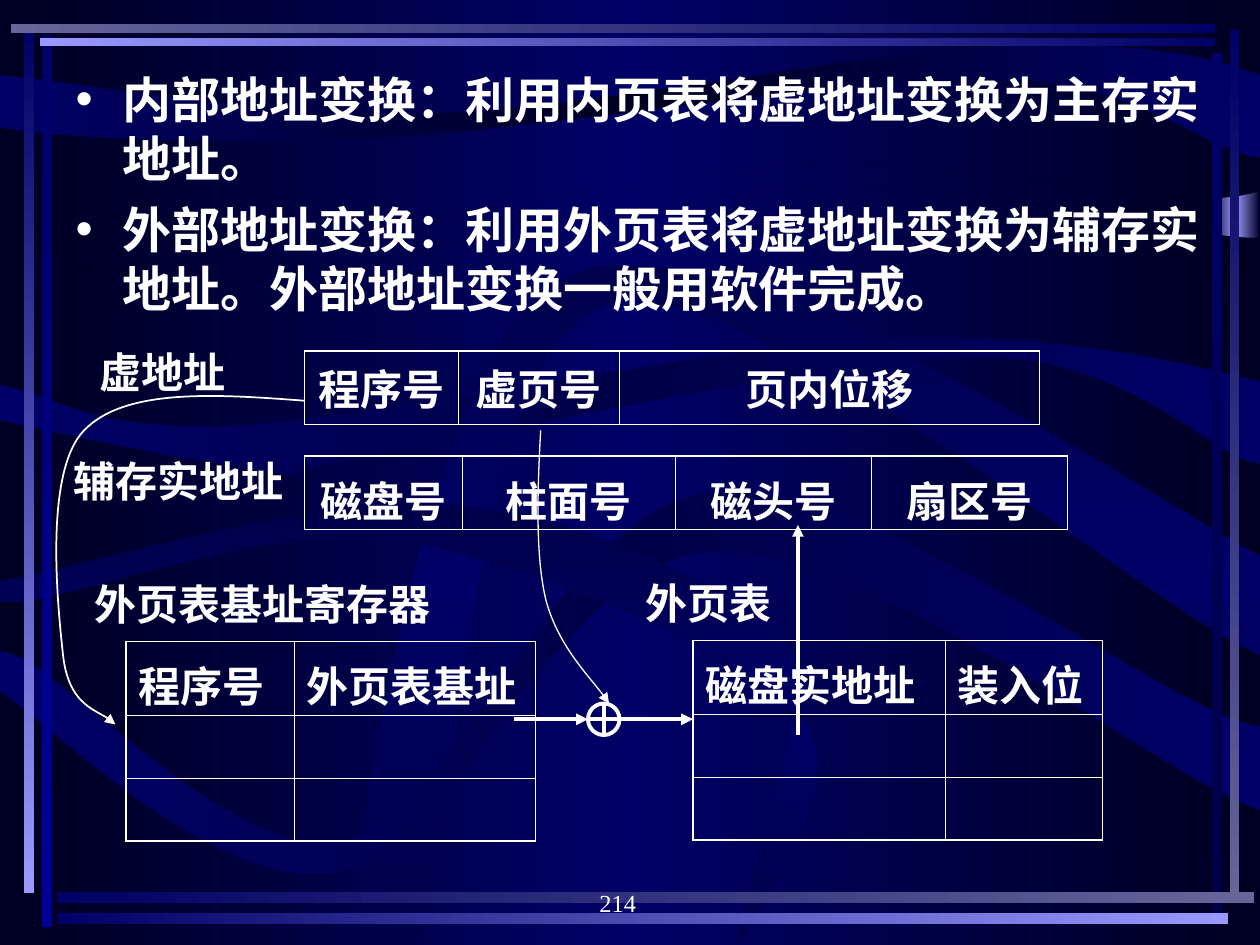
from typing import NamedTuple

from lxml.etree import SubElement
from pptx import Presentation
from pptx.dml.color import RGBColor
from pptx.enum.shapes import MSO_CONNECTOR, MSO_SHAPE
from pptx.enum.text import MSO_ANCHOR, MSO_AUTO_SIZE, PP_ALIGN
from pptx.oxml.ns import qn
from pptx.util import Pt

WHITE, NIGHT, DEEP, NAVY = "FFFFFF", "000022", "000048", "000066"
LILAC, SLATE = "9999FF", "666699"
HORIZONTAL, VERTICAL = 0, 90
OUTER, INNER = 1.08, 0.45


class Box(NamedTuple):
    left: float
    top: float
    width: float
    height: float


class Bar(NamedTuple):
    box: Box
    colors: list[str]
    angle: int


class Wave(NamedTuple):
    colors: list[str]
    angle: int
    start: tuple
    segments: list[tuple]  # 2 numbers: line, 6 numbers: cubic curve


class Label(NamedTuple):
    text: str
    box: Box
    size: float = 24
    bold: bool = True
    anchor: MSO_ANCHOR = MSO_ANCHOR.MIDDLE


class Grid(NamedTuple):
    left: float
    top: float
    widths: list[float]
    row_height: float
    rows: int
    headings: list[str]
    align: PP_ALIGN
    top_margin: float


class Arrow(NamedTuple):
    start: tuple
    end: tuple


def rgb(color: str) -> RGBColor:
    return RGBColor.from_string(color)


def paint_gradient(fill, root, colors: list[str], angle: int) -> None:
    """Spread the colours evenly; the angle runs clockwise."""
    fill.gradient()
    fill.gradient_angle = (360 - angle) % 360
    stops = root.find(".//" + qn("a:gsLst"))
    for stop in list(stops):
        stops.remove(stop)
    for i, color in enumerate(colors):
        stop = SubElement(stops, qn("a:gs"), pos=str(100000 * i // (len(colors) - 1)))
        SubElement(stop, qn("a:srgbClr"), val=color)


def style_runs(paragraph, size: float, bold: bool) -> None:
    for run in paragraph.runs:
        run.font.name, run.font.size, run.font.bold = "Times New Roman", Pt(size), bold
        run.font.color.rgb = rgb(WHITE)


def style_line(shape, width: float, arrow: bool) -> None:
    shape.line.color.rgb = rgb(WHITE)
    shape.line.width = Pt(width)
    if arrow:
        SubElement(shape.element.find(".//" + qn("a:ln")), qn("a:tailEnd"), type="triangle")


def draw_bar(shapes, bar: Bar) -> None:
    shape = shapes.add_shape(MSO_SHAPE.RECTANGLE, *map(Pt, bar.box))
    shape.shadow.inherit = False
    shape.line.fill.background()
    paint_gradient(shape.fill, shape.element, bar.colors, bar.angle)


def draw_outline(shapes, start: tuple, segments: list[tuple], close: bool):
    points = [s[i:i + 2] for s in segments for i in range(0, len(s), 2)]
    builder = shapes.build_freeform(*start, scale=Pt(1))
    builder.add_line_segments(points, close=close)
    shape = builder.convert_to_shape()
    shape.shadow.inherit = False
    # Each run of three points from a cubic segment becomes one curve
    outline = shape.element.find(".//" + qn("a:path"))
    steps = iter(outline.findall(qn("a:lnTo")))
    for segment in segments:
        parts = [next(steps) for _ in range(len(segment) // 2)]
        if len(parts) == 3:
            curve = outline.makeelement(qn("a:cubicBezTo"))
            parts[0].addprevious(curve)
            for part in parts:
                curve.append(part[0])
                outline.remove(part)
    return shape


def draw_wave(shapes, wave: Wave) -> None:
    shape = draw_outline(shapes, wave.start, wave.segments, True)
    shape.line.fill.background()
    paint_gradient(shape.fill, shape.element, wave.colors, wave.angle)


def draw_curve(shapes, start: tuple, segments: list[tuple], width: float) -> None:
    shape = draw_outline(shapes, start, segments, False)
    shape.fill.background()
    style_line(shape, width, True)


def draw_label(shapes, label: Label) -> None:
    frame = shapes.add_textbox(*map(Pt, label.box)).text_frame
    frame.word_wrap = True
    frame.vertical_anchor = label.anchor
    frame.margin_left = frame.margin_right = 0
    frame.margin_top = frame.margin_bottom = Pt(3.6 if label.anchor == MSO_ANCHOR.BOTTOM else 0)
    frame.text = label.text
    frame.paragraphs[0].alignment = PP_ALIGN.CENTER
    style_runs(frame.paragraphs[0], label.size, label.bold)


def draw_border(cell, side: str, width: float) -> None:
    line = SubElement(cell._tc.get_or_add_tcPr(), qn("a:ln" + side), w=str(Pt(width)))
    SubElement(SubElement(line, qn("a:solidFill")), qn("a:srgbClr"), val=WHITE)


def draw_grid(shapes, grid: Grid) -> None:
    columns = len(grid.widths)
    table = shapes.add_table(grid.rows, columns, Pt(grid.left), Pt(grid.top),
                             Pt(sum(grid.widths)), Pt(grid.row_height * grid.rows)).table
    table.first_row = table.horz_banding = False
    for column, width in zip(table.columns, grid.widths):
        column.width = Pt(width)
    for i in range(grid.rows):
        for j in range(columns):
            cell = table.cell(i, j)
            edges = {"L": j == 0, "R": j == columns - 1, "T": i == 0, "B": i == grid.rows - 1}
            for side, outside in edges.items():
                draw_border(cell, side, OUTER if outside else INNER)
            cell.fill.background()
            cell.margin_top, cell.margin_bottom = Pt(grid.top_margin), Pt(7.2 - grid.top_margin)
            cell.vertical_anchor = MSO_ANCHOR.MIDDLE
            if i == 0:
                cell.text_frame.text = grid.headings[j]
                cell.text_frame.paragraphs[0].alignment = grid.align
                style_runs(cell.text_frame.paragraphs[0], 24, True)


def draw_arrow(shapes, arrow: Arrow) -> None:
    line = shapes.add_connector(MSO_CONNECTOR.STRAIGHT, *map(Pt, arrow.start + arrow.end))
    style_line(line, 2.25, True)
    SubElement(line.element.find(qn("p:spPr")), qn("a:effectLst"))


def fill_body(body, points: list[str]) -> None:
    body.left, body.top, body.width, body.height = map(Pt, (36, 36, 660, 444))
    frame = body.text_frame
    frame.auto_size = MSO_AUTO_SIZE.NONE
    frame.text = "\n".join(points)
    for i, paragraph in enumerate(frame.paragraphs):
        props = paragraph._p.get_or_add_pPr()
        props.set("marL", str(Pt(27)))
        props.set("indent", str(Pt(-27)))
        SubElement(SubElement(props, qn("a:buClr")), qn("a:srgbClr"), val=WHITE)
        SubElement(props, qn("a:buChar"), char="•")
        paragraph.space_before = Pt(7 if i else 0)
        style_runs(paragraph, 28, True)


GLOW = Bar(Box(692, 35, 28, 248), [NIGHT, LILAC, NIGHT], HORIZONTAL)
WAVES = [
    Wave([NIGHT, NAVY, NIGHT], HORIZONTAL, (0, 0), [
        (720, 0), (720, 109), (675, 125, 570, 88, 450, 95), (330, 102, 75, 168, 0, 152)]),
    Wave([NIGHT, NAVY, NIGHT], HORIZONTAL, (0, 164), [
        (128, 176, 245, 140, 330, 125), (330, 125, 408, 114, 422, 112),
        (515, 91, 660, 136, 720, 136), (720, 540), (0, 540)]),
    Wave([NAVY, NIGHT, NAVY], HORIZONTAL, (0, 43), [
        (0, 73), (37, 79, 127, 83, 222, 78), (317, 73, 489, 43, 572, 45),
        (654, 47, 696, 90, 720, 90), (720, 43), (695, 33, 649, 23, 570, 27),
        (491, 30, 343, 62, 248, 65), (153, 68, 52, 48, 0, 43)]),
    Wave([NAVY, DEEP, NAVY], HORIZONTAL, (0, 220), [
        (0, 240), (27, 247, 126, 266, 160, 270), (194, 274, 137, 273, 203, 262),
        (270, 251, 475, 203, 562, 204), (648, 204, 693, 263, 720, 265), (720, 218),
        (684, 209, 602, 189, 505, 194), (408, 197, 221, 239, 137, 243), (53, 248, 29, 225, 0, 220)]),
    Wave([DEEP, NAVY, DEEP], VERTICAL, (195, 540), [
        (210, 476, 239, 194, 327, 157), (414, 120, 654, 282, 720, 318), (720, 374),
        (657, 349, 426, 148, 345, 175), (265, 203, 264, 480, 238, 540)]),
    Wave([NAVY, DEEP, NAVY], HORIZONTAL, (0, 372), [
        (0, 395), (32, 416, 125, 512, 194, 498), (261, 485, 319, 321, 407, 315),
        (495, 309, 667, 446, 720, 463), (720, 415), (675, 412, 498, 271, 405, 282),
        (318, 292, 264, 465, 197, 480), (129, 495, 32, 374, 0, 372)]),
    Wave([DEEP, NAVY, DEEP], VERTICAL, (0, 332), [
        (0, 343), (19, 352, 150, 297, 226, 308), (302, 320, 426, 373, 459, 412),
        (491, 450, 419, 545, 420, 540), (462, 383), (436, 341, 341, 297, 264, 289),
        (186, 280, 55, 323, 0, 332)]),
]
FRAME_BARS = [
    Bar(Box(23.8, 20.2, 5.8, 509.8), [NAVY, "000099"], VERTICAL),
    Bar(Box(13.7, 18, 6, 492.5), [NAVY, LILAC], VERTICAL),
    Bar(Box(702.7, 17.3, 5.2, 499), [NAVY, SLATE], VERTICAL),
    Bar(Box(692.6, 30.2, 6, 491.8), [NAVY, DEEP], VERTICAL),
    Bar(Box(32.4, 509.8, 684, 6), [NAVY, SLATE], HORIZONTAL),
    Bar(Box(32.4, 521.8, 669.6, 6), [NAVY, LILAC], HORIZONTAL),
    Bar(Box(23, 21.7, 671.5, 4.5), [LILAC, NAVY], HORIZONTAL),
    Bar(Box(6, 13.8, 688.5, 5), [SLATE, NAVY], HORIZONTAL),
]
GRIDS = [
    Grid(174, 200.5, [88, 92, 240], 42, 1, ["程序号", "虚页号", "页内位移"], PP_ALIGN.CENTER, 3.6),
    Grid(174, 260.5, [90, 122, 112, 112], 36, 1, ["磁盘号", "柱面号", "磁头号", "扇区号"],
         PP_ALIGN.CENTER, 7.2),
    Grid(72, 366.5, [96, 138], 36, 3, ["程序号", "外页表基址"], PP_ALIGN.LEFT, 7.2),
    Grid(396, 366, [144, 90], 36, 3, ["磁盘实地址", "装入位"], PP_ALIGN.LEFT, 7.2),
]
LABELS = [
    Label("虚地址", Box(54, 198, 78, 28.8)),
    Label("辅存实地址", Box(36, 260.5, 132, 28.8)),
    Label("外页表基址寄存器", Box(42, 330.5, 216, 28.8)),
    Label("外页表", Box(366, 330, 78, 28.8)),
    Label("214", Box(278, 492, 150, 36), 14, False, MSO_ANCHOR.BOTTOM),
]
ARROWS = [Arrow((294, 411), (336, 411)), Arrow((456, 420), (456, 300)), Arrow((354, 411), (396, 411))]

presentation = Presentation()
presentation.slide_width, presentation.slide_height = Pt(720), Pt(540)
slide = presentation.slides.add_slide(presentation.slide_layouts[1])
shapes = slide.shapes
shapes.element.remove(shapes.title.element)

# Backdrop
paint_gradient(slide.background.fill, slide.element, [NIGHT, NAVY, NIGHT], HORIZONTAL)
draw_bar(shapes, GLOW)
for wave in WAVES:
    draw_wave(shapes, wave)
for bar in FRAME_BARS:
    draw_bar(shapes, bar)

# Bullets, kept in front of the backdrop
body = slide.placeholders[1]
shapes.element.append(body.element)
fill_body(body, ["内部地址变换：利用内页表将虚地址变换为主存实地址。",
                 "外部地址变换：利用外页表将虚地址变换为辅存实地址。外部地址变换一般用软件完成。"])

# Address formats, register and page table
for grid in GRIDS:
    draw_grid(shapes, grid)
for label in LABELS:
    draw_label(shapes, label)

# Flow from the virtual address through the adder
draw_curve(shapes, (174, 229), [(122.4, 225.4, 71.3, 221.8, 48.2, 246.2),
                                (25.2, 270, 33.1, 345.6, 36, 373.7),
                                (38.9, 401.8, 61.2, 407.5, 66.2, 414)], 1)
draw_curve(shapes, (308.9, 246.2), [(307.4, 281.5, 306, 317.5, 312.5, 343.4),
                                    (319, 369.4, 342, 392.4, 347.8, 401.8)], 0.75)
for arrow in ARROWS:
    draw_arrow(shapes, arrow)
adder = shapes.add_shape(MSO_SHAPE.FLOWCHART_OR, Pt(336), Pt(402), Pt(18), Pt(18))
adder.shadow.inherit = False
adder.fill.background()
style_line(adder, 2.25, False)

presentation.save("out.pptx")
